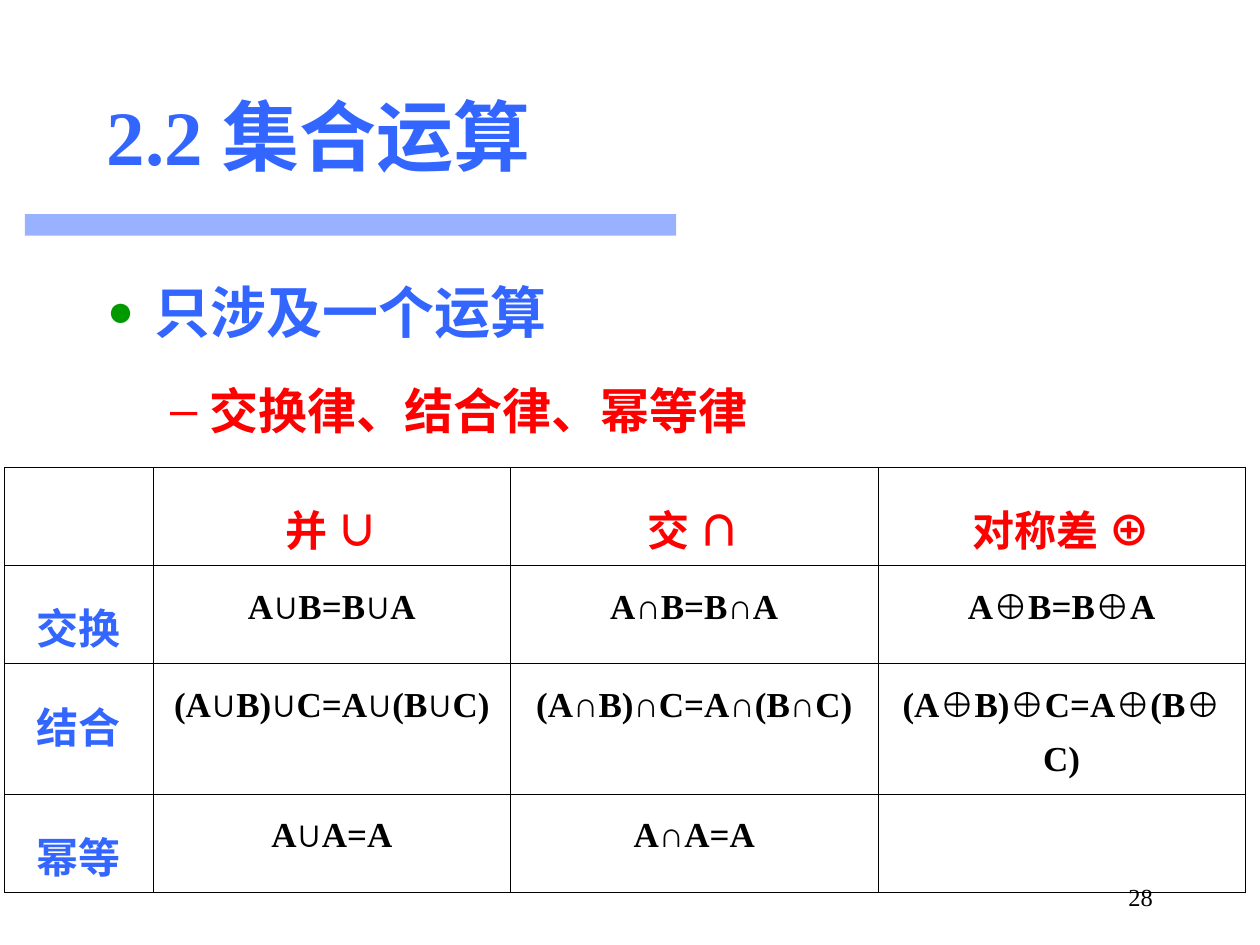
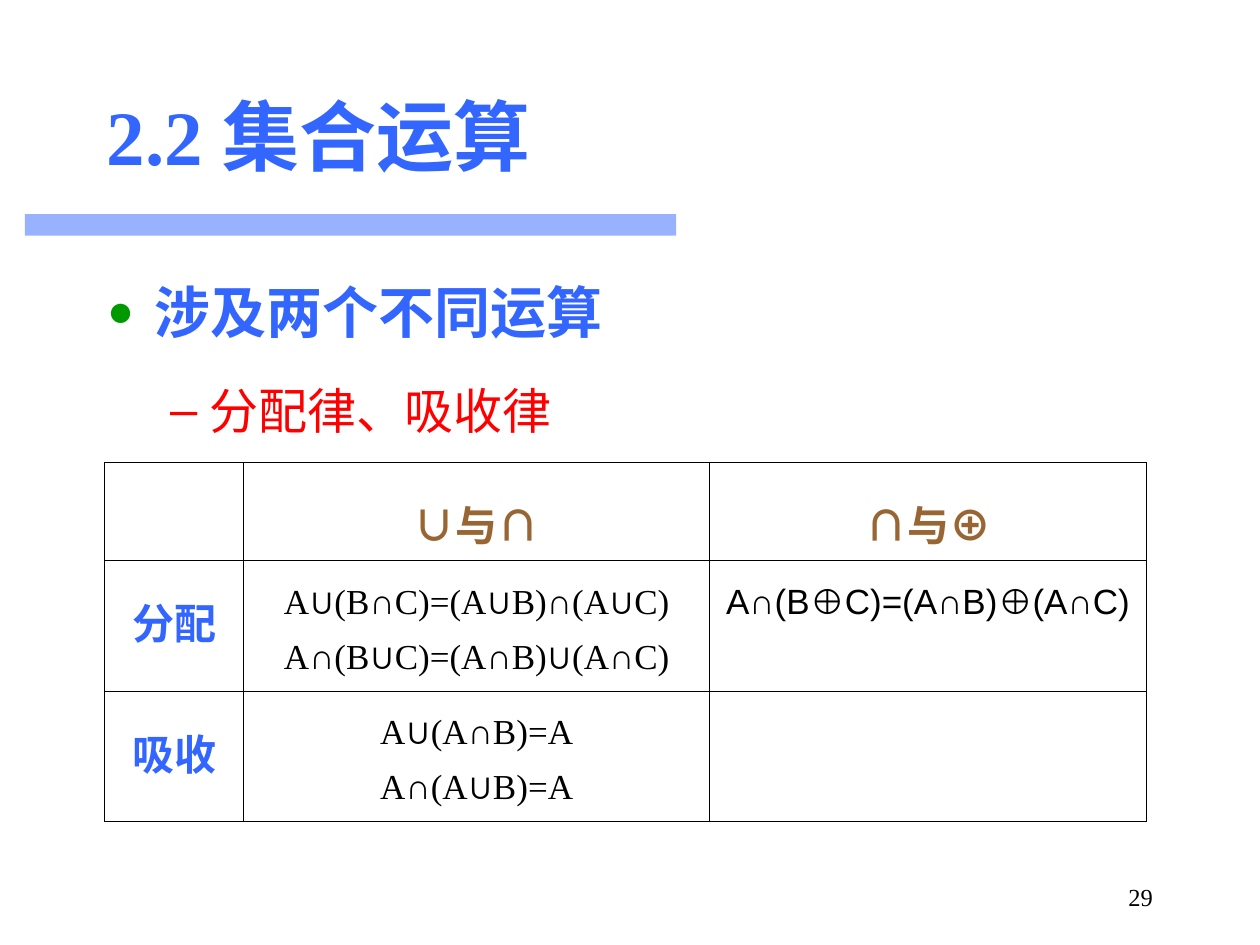
from itertools import groupby

from lxml import etree
from pptx import Presentation
from pptx.dml.color import RGBColor
from pptx.enum.shapes import MSO_SHAPE
from pptx.enum.text import MSO_ANCHOR, PP_ALIGN
from pptx.oxml.ns import qn
from pptx.util import Cm, Pt

BLUE = RGBColor(0x33, 0x66, 0xFF)
RED = RGBColor(0xFF, 0x00, 0x00)
GREEN = RGBColor(0x00, 0x99, 0x00)
BROWN = RGBColor(0x99, 0x66, 0x33)
BLACK = RGBColor(0x00, 0x00, 0x00)

SERIF = "Times New Roman"
SANS = "Arial"
CHINESE = "Noto Sans CJK SC"
OPERATORS = "∪∩⊕"

CENTER, RIGHT = PP_ALIGN.CENTER, PP_ALIGN.RIGHT
MIDDLE = MSO_ANCHOR.MIDDLE
RECTANGLE = MSO_SHAPE.RECTANGLE

# Bullet levels: left margin, hanging indent, space before, mark, colour, size in percent
LEVELS = [
    (Cm(0.96), Cm(-0.96), Pt(8), "●", GREEN, 80),
    (Cm(2.06), Cm(-0.79), Pt(7), "–", RED, 100),
]

SLIDES = [
    {
        "number": "28",
        "topic": "只涉及一个运算",
        "laws": "交换律、结合律、幂等律",
        "bold": True,
        "header_color": RED,
        "origin": (Cm(0.09), Cm(9.42)),
        "columns": [3.0, 7.2, 7.41, 7.4],
        "rows": [1.98, 1.98, 2.45, 1.98],
        "cells": [
            ["", "并 ∪", "交 ∩", "对称差 ⊕"],
            ["交换", "A∪B=B∪A", "A∩B=B∩A", "A⊕B=B⊕A"],
            ["结合", "(A∪B)∪C=A∪(B∪C)", "(A∩B)∩C=A∩(B∩C)", "(A⊕B)⊕C=A⊕(B⊕C)"],
            ["幂等", "A∪A=A", "A∩A=A", ""],
        ],
    },
    {
        "number": "29",
        "topic": "涉及两个不同运算",
        "laws": "分配律、吸收律",
        "bold": False,
        "header_color": BROWN,
        "origin": (Cm(2.11), Cm(9.32)),
        "columns": [2.8, 9.4, 8.8],
        "rows": [1.98, 2.63, 2.63],
        "cells": [
            ["", "∪与∩", "∩与⊕"],
            ["分配", "A∪(B∩C)=(A∪B)∩(A∪C)\nA∩(B∪C)=(A∩B)∪(A∩C)", "A∩(B⊕C)=(A∩B)⊕(A∩C)"],
            ["吸收", "A∪(A∩B)=A\nA∩(A∪B)=A", ""],
        ],
    },
]


def write_line(para, text, size, color, bold=False, name=SERIF):
    """Fill a paragraph, with set operators in the sans font."""
    para.font.size = Pt(size)
    para.font.bold = bold
    para.font.color.rgb = color
    para.font.name = name
    defaults = para._p.pPr.find(qn("a:defRPr"))
    etree.SubElement(defaults, qn("a:ea"), typeface=CHINESE)
    for is_operator, letters in groupby(text, lambda letter: letter in OPERATORS):
        span = para.add_run()
        span.text = "".join(letters)
        if is_operator and name != SANS:
            span.font.name = SANS


def border_cell(cell):
    """Clear the cell's fill and draw thin black lines on its four sides."""
    properties = cell._tc.get_or_add_tcPr()
    for side in ("a:lnL", "a:lnR", "a:lnT", "a:lnB"):
        line = etree.SubElement(properties, qn(side), w=str(Pt(0.45)))
        fill = etree.SubElement(line, qn("a:solidFill"))
        etree.SubElement(fill, qn("a:srgbClr"), val=str(BLACK))
    cell.fill.background()


deck = Presentation()
deck.slide_width = Cm(25.4)
deck.slide_height = Cm(19.05)

for content in SLIDES:
    page = deck.slides.add_slide(deck.slide_layouts[6])
    shapes = page.shapes

    # Half-transparent band under the title
    band = shapes.add_shape(RECTANGLE, Cm(0.5), Cm(4.32), Cm(13.13), Cm(0.43))
    band.shadow.inherit = False
    band.line.fill.background()
    band.fill.solid()
    band.fill.fore_color.rgb = BLUE
    band_color = band._element.spPr.find(qn("a:solidFill"))[0]
    etree.SubElement(band_color, qn("a:alpha"), val="50000")

    # Page number
    box = shapes.add_textbox(Cm(18.21), Cm(17.73), Cm(5.28), Cm(0.69))
    box.text_frame.word_wrap = True
    box.text_frame.vertical_anchor = MIDDLE
    para = box.text_frame.paragraphs[0]
    para.alignment = RIGHT
    write_line(para, content["number"], 14, BLACK)

    # Title
    box = shapes.add_textbox(Cm(1.9), Cm(1.12), Cm(21.6), Cm(3.18))
    box.text_frame.word_wrap = True
    box.text_frame.vertical_anchor = MIDDLE
    write_line(box.text_frame.paragraphs[0], "2.2 集合运算", 44, BLUE, True)

    # Topic and the laws below it
    box = shapes.add_textbox(Cm(1.91), Cm(4.93), Cm(21.6), Cm(12.4))
    frame = box.text_frame
    frame.word_wrap = True
    write_line(frame.paragraphs[0], content["topic"], 32, BLUE, True, SANS)
    write_line(frame.add_paragraph(), content["laws"], 28, RED, content["bold"], SANS)
    for level, para in enumerate(frame.paragraphs):
        margin, indent, before, mark, mark_color, percent = LEVELS[level]
        para.level = level
        para.line_spacing = 1.4
        para.space_before = before
        properties = para._p.pPr
        properties.set("marL", str(margin))
        properties.set("indent", str(indent))
        tint = etree.Element(qn("a:buClr"))
        etree.SubElement(tint, qn("a:srgbClr"), val=str(mark_color))
        defaults = properties.find(qn("a:defRPr"))
        for bullet_part in (
            tint,
            etree.Element(qn("a:buSzPct"), val=str(percent * 1000)),
            etree.Element(qn("a:buFont"), typeface=SANS),
            etree.Element(qn("a:buChar"), char=mark),
        ):
            defaults.addprevious(bullet_part)

    # Table of laws
    columns, rows = content["columns"], content["rows"]
    left, top = content["origin"]
    table = shapes.add_table(
        len(rows), len(columns), left, top, Cm(sum(columns)), Cm(sum(rows))
    ).table
    table.first_row = False
    table.horz_banding = False
    for column, width in zip(table.columns, columns):
        column.width = Cm(width)
    for row, height in zip(table.rows, rows):
        row.height = Cm(height)
    for row_index, texts in enumerate(content["cells"]):
        for column_index, text in enumerate(texts):
            cell = table.cell(row_index, column_index)
            border_cell(cell)
            if not text:
                continue
            if row_index == 0:
                style = (24, content["header_color"], True, SANS)
            elif column_index == 0:
                style = (24, BLUE, True, CHINESE)
            elif "(B⊕C)=" in text:
                style = (20, BLACK, content["bold"], SANS)
            else:
                style = (20, BLACK, content["bold"], SERIF)
            frame = cell.text_frame
            for line_index, line_text in enumerate(text.split("\n")):
                para = frame.add_paragraph() if line_index else frame.paragraphs[0]
                para.alignment = CENTER
                para.line_spacing = 1.4
                write_line(para, line_text, *style)

deck.save("out.pptx")
